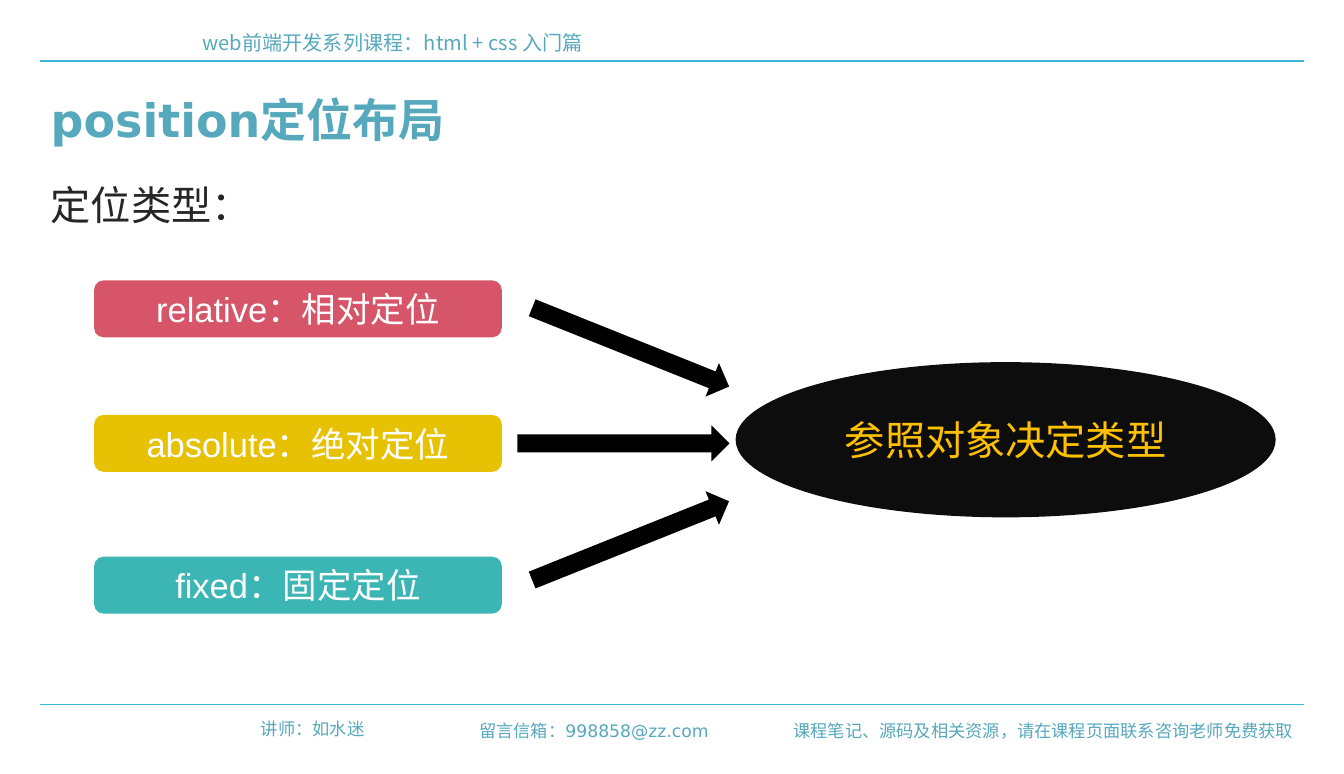
from lxml import etree
from pptx import Presentation
from pptx.dml.color import RGBColor
from pptx.enum.shapes import MSO_CONNECTOR, MSO_SHAPE
from pptx.enum.text import MSO_ANCHOR, PP_ALIGN
from pptx.oxml.ns import qn
from pptx.util import Emu, Pt

PX = 9144  # 100 px to the inch
LEFT, CENTER, RIGHT = PP_ALIGN.LEFT, PP_ALIGN.CENTER, PP_ALIGN.RIGHT
MIDDLE = MSO_ANCHOR.MIDDLE
STRAIGHT = MSO_CONNECTOR.STRAIGHT
ROUNDED, OVAL, ARROW = MSO_SHAPE.ROUNDED_RECTANGLE, MSO_SHAPE.OVAL, MSO_SHAPE.RIGHT_ARROW
SANS, CJK, ARIAL = "DejaVu Sans", "Noto Sans CJK SC", "Arial"
TEAL = "56A8BD"


def color(value):
    return RGBColor.from_string(value)


def write(shape, text, size, font_name, hex_color, align=LEFT, bold=False):
    frame = shape.text_frame
    frame.word_wrap = True
    frame.vertical_anchor = MIDDLE
    frame.text = text
    paragraph = frame.paragraphs[0]
    paragraph.alignment = align
    paragraph.space_before = Pt(0)
    font = paragraph.font
    font.size, font.bold, font.name = Pt(size), bold, font_name
    font.color.rgb = color(hex_color)
    default_run = paragraph._p.pPr.find(qn("a:defRPr"))
    etree.SubElement(default_run, qn("a:ea"), typeface=CJK)
    return paragraph


presentation = Presentation()
presentation.slide_width, presentation.slide_height = Emu(1299 * PX), Emu(748 * PX)
slide = presentation.slides.add_slide(presentation.slide_layouts[1])
shapes = slide.shapes

# Header and footer rules
for y in (59, 681):
    rule = shapes.add_connector(STRAIGHT, 39 * PX, y * PX, 1260 * PX, y * PX)
    rule.line.color.rgb = color("3CB7D7")
    rule.line.width = Pt(0.75)
    etree.SubElement(rule._element.spPr, qn("a:effectLst"))

# Header and footer texts
for text, x, y, width, height, size, font_name, align in (
    ("web前端开发系列课程：html + css 入门篇", 186, 24, 1051, 34, 14, CJK, LEFT),
    ("讲师：如水迷", 224, 689, 138, 30, 12, SANS, RIGHT),
    ("留言信箱：998858@zz.com", 429, 691, 266, 30, 12, SANS, RIGHT),
    ("课程笔记、源码及相关资源，请在课程页面联系咨询老师免费获取", 752, 691, 508, 30, 12, SANS, RIGHT),
):
    box = shapes.add_textbox(x * PX, y * PX, width * PX, height * PX)
    write(box, text, size, font_name, TEAL, align)

# Title and lead line
title, lead = shapes.title, slide.placeholders[1]
title.left, title.top, title.width, title.height = 39 * PX, 83 * PX, 1220 * PX, 64 * PX
write(title, "position定位布局", 32, SANS, TEAL, bold=True)
lead.left, lead.top, lead.width, lead.height = 39 * PX, 169 * PX, 665 * PX, 57 * PX
lead_properties = write(lead, "定位类型：", 28, CJK, "262626")._p.pPr
lead_properties.set("marL", "0")
lead_properties.set("indent", "0")
lead_properties.find(qn("a:defRPr")).addprevious(etree.Element(qn("a:buNone")))

# Positioning types, their arrows and the deciding ellipse
for kind, x, y, width, height, angle, fill, text, size, font_name, text_color in (
    (ROUNDED, 91, 271, 394, 55, 0, "D75569", "relative：相对定位", 24, ARIAL, "FFFFFF"),
    (ROUNDED, 91, 401, 394, 55, 0, "E7C103", "absolute：绝对定位", 24, ARIAL, "FFFFFF"),
    (ROUNDED, 91, 538, 394, 55, 0, "3CB5B5", "fixed：固定定位", 24, ARIAL, "FFFFFF"),
    (OVAL, 711, 350, 522, 150, 0, "0D0D0D", "参照对象决定类型", 28, SANS, "FFC000"),
    (ARROW, 500, 411, 205, 35, 0, "000000", "", 0, "", ""),
    (ARROW, 507, 318, 205, 35, 21.8, "000000", "", 0, "", ""),
    (ARROW, 507, 505, 205, 35, -21.8, "000000", "", 0, "", ""),
):
    shape = shapes.add_shape(kind, x * PX, y * PX, width * PX, height * PX)
    shape.shadow.inherit = False
    shape.rotation = angle
    shape.fill.solid()
    shape.fill.fore_color.rgb = color(fill)
    shape.line.fill.background()
    if text:
        write(shape, text, size, font_name, text_color, CENTER)

presentation.save("out.pptx")
